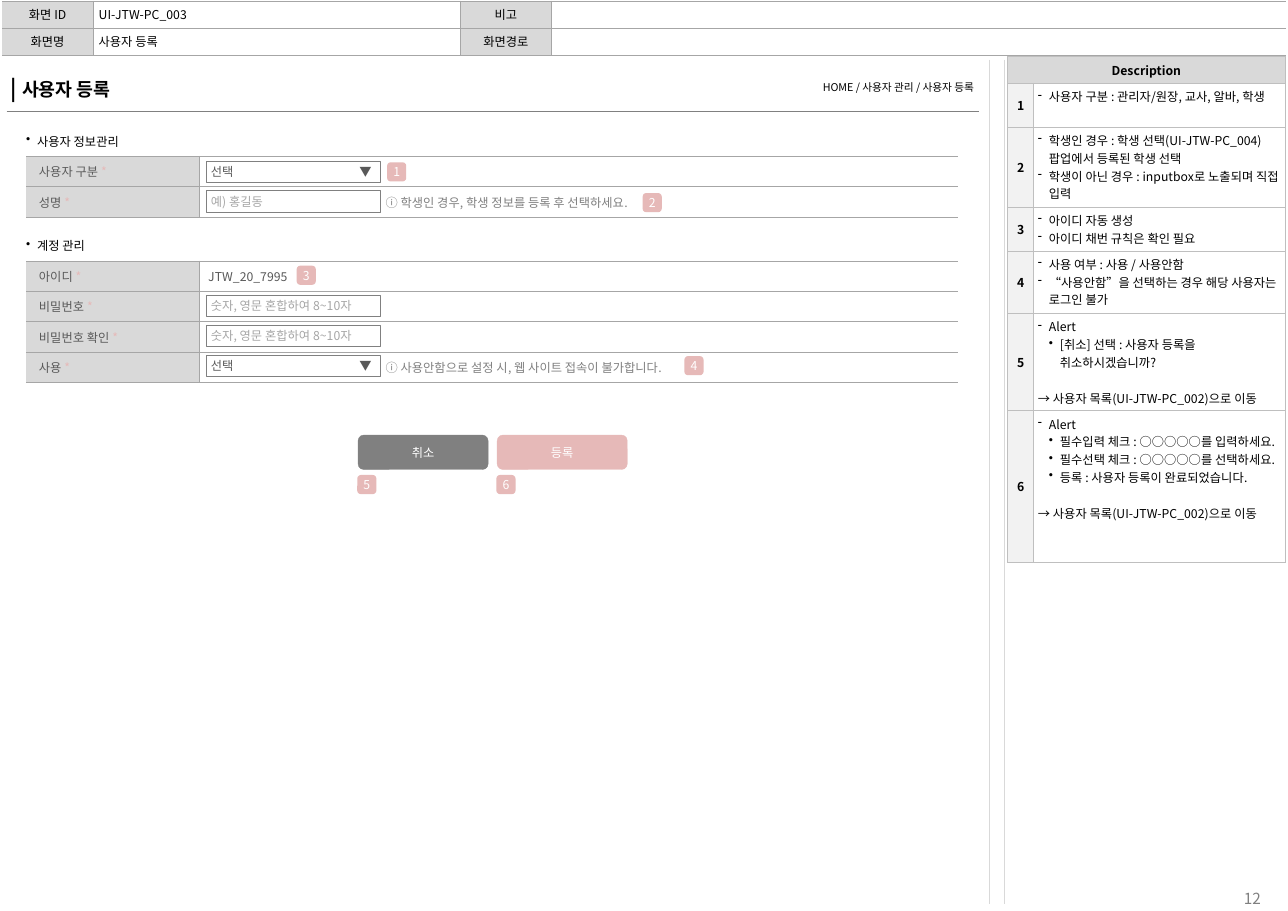
import pptx
import pptx.util
import pptx.dml.color
import pptx.enum.shapes
import pptx.enum.text
import pptx.oxml.ns
import lxml.etree

Pt = pptx.util.Pt
qn = pptx.oxml.ns.qn
KIND = pptx.enum.shapes.MSO_SHAPE
ALIGN = pptx.enum.text.PP_ALIGN
MIDDLE = pptx.enum.text.MSO_ANCHOR.MIDDLE
TOP = pptx.enum.text.MSO_ANCHOR.TOP
FACE = "Noto Sans CJK KR"
BLACK, DARK, GRAY, PALE = "000000", "595959", "808080", "A6A6A6"
WHITE, SHADE, PINK = "FFFFFF", "D9D9D9", "E6B9B8"
ROW = 19.9
STEP = 19.5

HEADER = [("화면 ID", "UI-JTW-PC_003", "비고", ""),
          ("화면명", "사용자 등록", "화면경로", "")]
LIST_LINK = ("→", "→ 사용자 목록(UI-JTW-PC_002)으로 이동")
NOTES = [
    (28.7, [("-", "사용자 구분 : 관리자/원장, 교사, 알바, 학생")]),
    (52.2, [("-", "학생인 경우 : 학생 선택(UI-JTW-PC_004) 팝업에서 등록된 학생 선택"),
            ("-", "학생이 아닌 경우 : inputbox로 노출되며 직접 입력")]),
    (28.7, [("-", "아이디 자동 생성"), ("-", "아이디 채번 규칙은 확인 필요")]),
    (41, [("-", "사용 여부 : 사용 / 사용안함"),
          ("-", "“사용안함”을 선택하는 경우 해당 사용자는 로그인 불가")]),
    (63.5, [("-", "Alert"), ("•", "[취소] 선택 : 사용자 등록을 취소하시겠습니까?"),
            LIST_LINK]),
    (99.3, [("-", "Alert"), ("•", "필수입력 체크 : ○○○○○를 입력하세요."),
            ("•", "필수선택 체크 : ○○○○○를 선택하세요."),
            ("•", "등록 : 사용자 등록이 완료되었습니다."), LIST_LINK]),
]
# Each row: label, left inset of the value, value, colour
USER = [("사용자 구분", 0, "", GRAY),
        ("성명", 121.7, "ⓘ 학생인 경우, 학생 정보를 등록 후 선택하세요.", GRAY)]
LOGIN = [("아이디", 5.8, "JTW_20_7995", DARK),
         ("비밀번호", 0, "", GRAY),
         ("비밀번호 확인", 0, "", GRAY),
         ("사용", 121.7, "ⓘ 사용안함으로 설정 시, 웹 사이트 접속이 불가합니다.", GRAY)]
USER_TOP, LOGIN_TOP = 82.1, 150.5
FIELDS = [(USER_TOP, 1, "선택\t▼", DARK), (USER_TOP, 2, "예) 홍길동", PALE),
          (LOGIN_TOP, 2, "숫자, 영문 혼합하여 8~10자", PALE),
          (LOGIN_TOP, 3, "숫자, 영문 혼합하여 8~10자", PALE),
          (LOGIN_TOP, 4, "선택\t▼", DARK)]
BUTTONS = [(234, "취소", GRAY), (324.9, "등록", PINK)]
BADGES = [(253.5, 106.6), (420.5, 126.7), (194.4, 174.2),
          (447.8, 233.3), (234, 311), (324.9, 311)]


def paint(hue):
    return pptx.dml.color.RGBColor.from_string(hue)


def style(item, **vals):
    for name, val in vals.items():
        setattr(item, name, val)


def inset(item, left, top, right, low):
    style(item, margin_left=Pt(left), margin_top=Pt(top),
          margin_right=Pt(right), margin_bottom=Pt(low))


def add_run(para, text, hue=BLACK, size=8, bold=False):
    run = para.add_run()
    run.text = text
    style(run.font, size=Pt(size), bold=bold, name=FACE)
    run.font.color.rgb = paint(hue)
    props = run.font._element
    lxml.etree.SubElement(props, qn("a:ea"), typeface=FACE)


def bullet(para, mark, level=1):
    props = para._p.get_or_add_pPr()
    props.set("marL", str(Pt(7.2 * level)))
    props.set("indent", str(Pt(-7.2)))
    lxml.etree.SubElement(props, qn("a:buChar"), char=mark)


def add_tab(para, place):
    props = para._p.get_or_add_pPr()
    tabs = lxml.etree.SubElement(props, qn("a:tabLst"))
    lxml.etree.SubElement(tabs, qn("a:tab"), pos=str(Pt(place)), algn="l")


def add_grid(slide, left, top, cols, rows):
    frame = slide.shapes.add_table(len(rows), len(cols), Pt(left), Pt(top),
                                   Pt(sum(cols)), Pt(sum(rows)))
    grid = frame.table
    style(grid, first_row=False, horz_banding=False)
    for col, width in zip(grid.columns, cols):
        col.width = Pt(width)
    for row, height in zip(grid.rows, rows):
        row.height = Pt(height)
    return grid


def set_cell(cell, fill, edges, pad, anchor=MIDDLE):
    """Set edges (side: (colour, width)), fill and padding; return the paragraph."""
    props = cell._tc.get_or_add_tcPr()
    for side in "LRTB":
        hue, width = edges.get(side, (None, 0))
        line = lxml.etree.SubElement(props, qn("a:ln" + side), w=str(Pt(width)))
        if hue:
            solid = lxml.etree.SubElement(line, qn("a:solidFill"))
            lxml.etree.SubElement(solid, qn("a:srgbClr"), val=hue)
        else:
            lxml.etree.SubElement(line, qn("a:noFill"))
    cell.fill.solid()
    cell.fill.fore_color.rgb = paint(fill)
    inset(cell, *pad)
    cell.vertical_anchor = anchor
    para = cell.text_frame.paragraphs[0]
    lxml.etree.SubElement(para._p, qn("a:endParaRPr"), sz="800")
    return para


def thin(sides, hue=PALE):
    return {side: (hue, 0.25) for side in sides}


def add_header(slide):
    grid = add_grid(slide, 1.4, 0.7, [59.5, 240, 59.5, 480], [17.6, 17.6])
    sides = ["RTB", "LRTB", "LRTB", "LTB"]
    for r, texts in enumerate(HEADER):
        for c, text in enumerate(texts):
            label = c % 2 == 0
            para = set_cell(grid.cell(r, c), SHADE if label else WHITE,
                            thin(sides[c]), (3.6, 2.8, 3.6, 2.8),
                            MIDDLE if label else TOP)
            para.alignment = ALIGN.CENTER if label else ALIGN.LEFT
            if text:
                add_run(para, text)


def add_title(slide):
    grid = add_grid(slide, 4.3, 41, [317.5, 317.5], [31.5])
    white = (WHITE, 1)
    para = set_cell(grid.cell(0, 0), WHITE,
                    {"R": white, **thin("B", GRAY)}, (2.8, 5.7, 0, 5.7))
    add_run(para, "| ", size=14, bold=True)
    add_run(para, "사용자 등록", size=12, bold=True)
    para = set_cell(grid.cell(0, 1), WHITE,
                    {"L": white, "R": white, **thin("B", GRAY)}, (0, 5.7, 2.8, 5.7))
    para.alignment = ALIGN.RIGHT
    add_run(para, "HOME / 사용자 관리 / 사용자 등록", size=7)


def add_form(slide, top, title, rows):
    grid = add_grid(slide, 17, top, [113.3, 496], [ROW] * (len(rows) + 1))
    grid.cell(0, 0).merge(grid.cell(0, 1))
    heads = [set_cell(grid.cell(0, c), WHITE, thin("B"), (0, 0, 0, 0))
             for c in range(2)]
    bullet(heads[0], "•")
    add_run(heads[0], title)
    for r, (label, left, text, hue) in enumerate(rows, 1):
        para = set_cell(grid.cell(r, 0), SHADE, thin("RTB"), (8.5, 0, 0, 0))
        add_run(para, label + " ", DARK)
        add_run(para, "*", PINK)
        para = set_cell(grid.cell(r, 1), WHITE, thin("LTB"), (left, 0, 0, 0))
        if text:
            add_run(para, text, hue)


def add_notes(slide):
    grid = add_grid(slide, 658.5, 36.9, [17, 164.4],
                    [17.4] + [height for height, _ in NOTES])
    edges, pad = thin("LRTB", "BFBFBF"), (2.8, 2.8, 2.8, 2.8)
    grid.cell(0, 0).merge(grid.cell(0, 1))
    heads = [set_cell(grid.cell(0, c), SHADE, edges, pad) for c in range(2)]
    heads[0].alignment = ALIGN.CENTER
    add_run(heads[0], "Description", bold=True)
    for r, (_, lines) in enumerate(NOTES, 1):
        para = set_cell(grid.cell(r, 0), "F2F2F2", edges, pad)
        para.alignment = ALIGN.CENTER
        add_run(para, str(r), bold=True)
        cell = grid.cell(r, 1)
        para = set_cell(cell, WHITE, edges, pad, TOP)
        for i, (mark, text) in enumerate(lines):
            if i:
                para = cell.text_frame.add_paragraph()
            if mark == "→":
                para.space_before = Pt(11.7)
            else:
                bullet(para, mark, 2 if mark == "•" else 1)
            add_run(para, text)


def add_box(slide, kind, place, text, hue, fill=None, line=GRAY, width=0.25):
    box = slide.shapes.add_shape(kind, *map(Pt, place))
    box.shadow.inherit = False
    if fill:
        box.fill.solid()
        box.fill.fore_color.rgb = paint(fill)
    else:
        box.fill.background()
    box.line.color.rgb = paint(line)
    box.line.width = Pt(width)
    frame = box.text_frame
    style(frame, word_wrap=True, vertical_anchor=MIDDLE)
    side = 0 if fill else 2.8
    inset(frame, side, 0, side, 0)
    para = frame.paragraphs[0]
    para.alignment = ALIGN.CENTER if fill else ALIGN.LEFT
    if "\t" in text:
        add_tab(para, 97)
    add_run(para, text, hue)


def add_rule(slide, left):
    rule = slide.shapes.add_connector(pptx.enum.shapes.MSO_CONNECTOR.STRAIGHT,
                                      Pt(left), Pt(38.9), Pt(left), Pt(591.1))
    rule.line.color.rgb = paint(SHADE)
    rule.line.width = Pt(0.75)
    lxml.etree.SubElement(rule._element.spPr, qn("a:effectLst"))


def add_page(slide):
    box = slide.shapes.add_textbox(Pt(805), Pt(577.4), Pt(44.6), Pt(32.4))
    box.text_frame.word_wrap = True
    inset(box.text_frame, 7.9, 4, 7.9, 4)
    add_run(box.text_frame.paragraphs[0], "12", GRAY, 10)


def main():
    deck = pptx.Presentation()
    style(deck, slide_width=Pt(841.68), slide_height=Pt(595.44))
    slide = deck.slides.add_slide(deck.slide_layouts[6])
    # Page frame
    add_page(slide)
    for left in (646.6, 656.6):
        add_rule(slide, left)
    add_header(slide)
    add_title(slide)
    # Forms and notes
    add_form(slide, USER_TOP, "사용자 정보관리", USER)
    add_notes(slide)
    add_form(slide, LOGIN_TOP, "계정 관리", LOGIN)
    # Fields, buttons and number badges
    for top, row, text, hue in FIELDS:
        place = (135, top + 3.5 + STEP * row, 113.4, 14)
        add_box(slide, KIND.RECTANGLE, place, text, hue)
    for left, text, fill in BUTTONS:
        add_box(slide, KIND.ROUNDED_RECTANGLE, (left, 284.4, 85, 22.5),
                text, WHITE, fill, fill)
    for num, (left, top) in enumerate(BADGES, 1):
        add_box(slide, KIND.ROUNDED_RECTANGLE, (left, top, 11.5, 11.5),
                str(num), WHITE, PINK, PINK, 1)
    deck.save("out.pptx")


if __name__ == "__main__":
    main()
